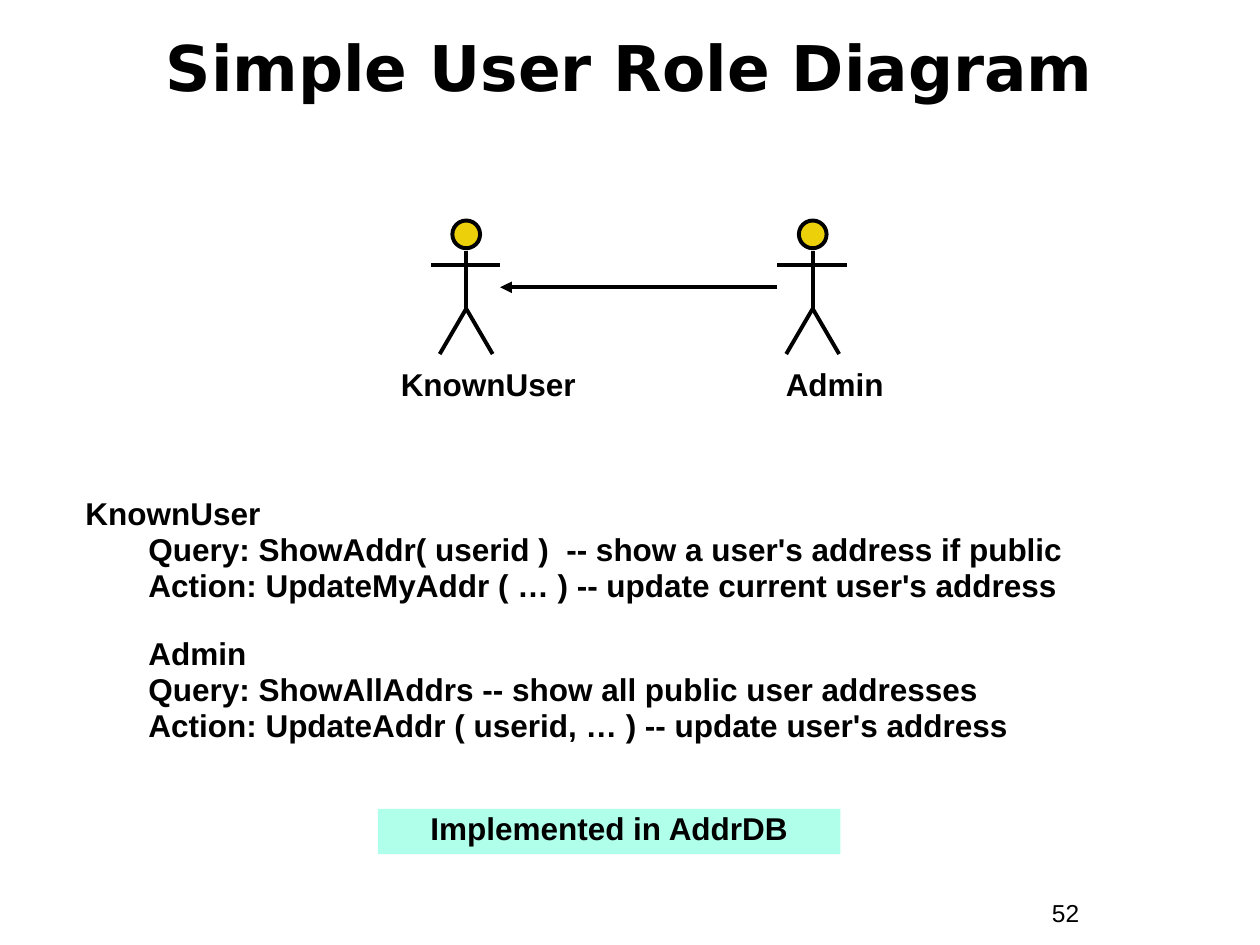
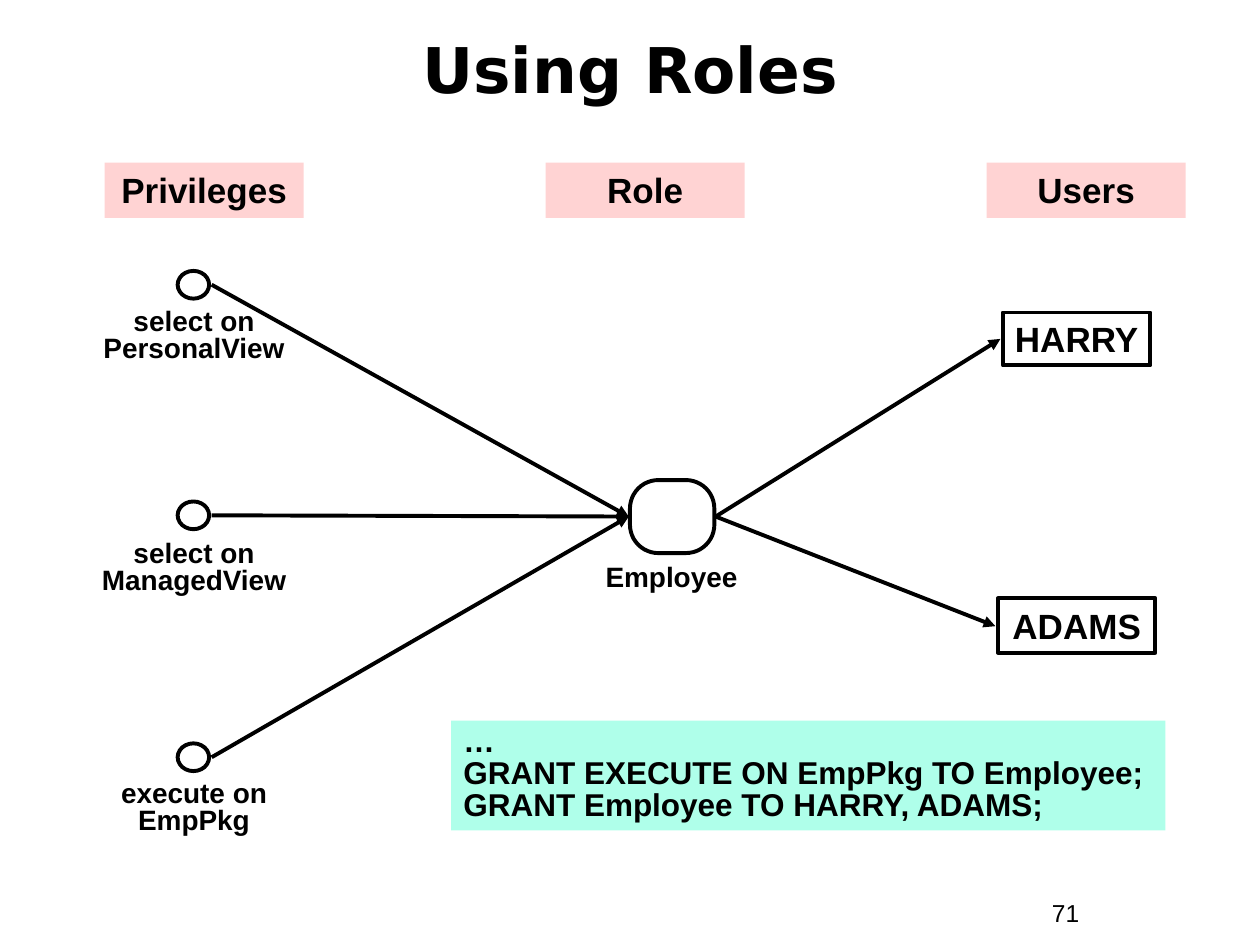
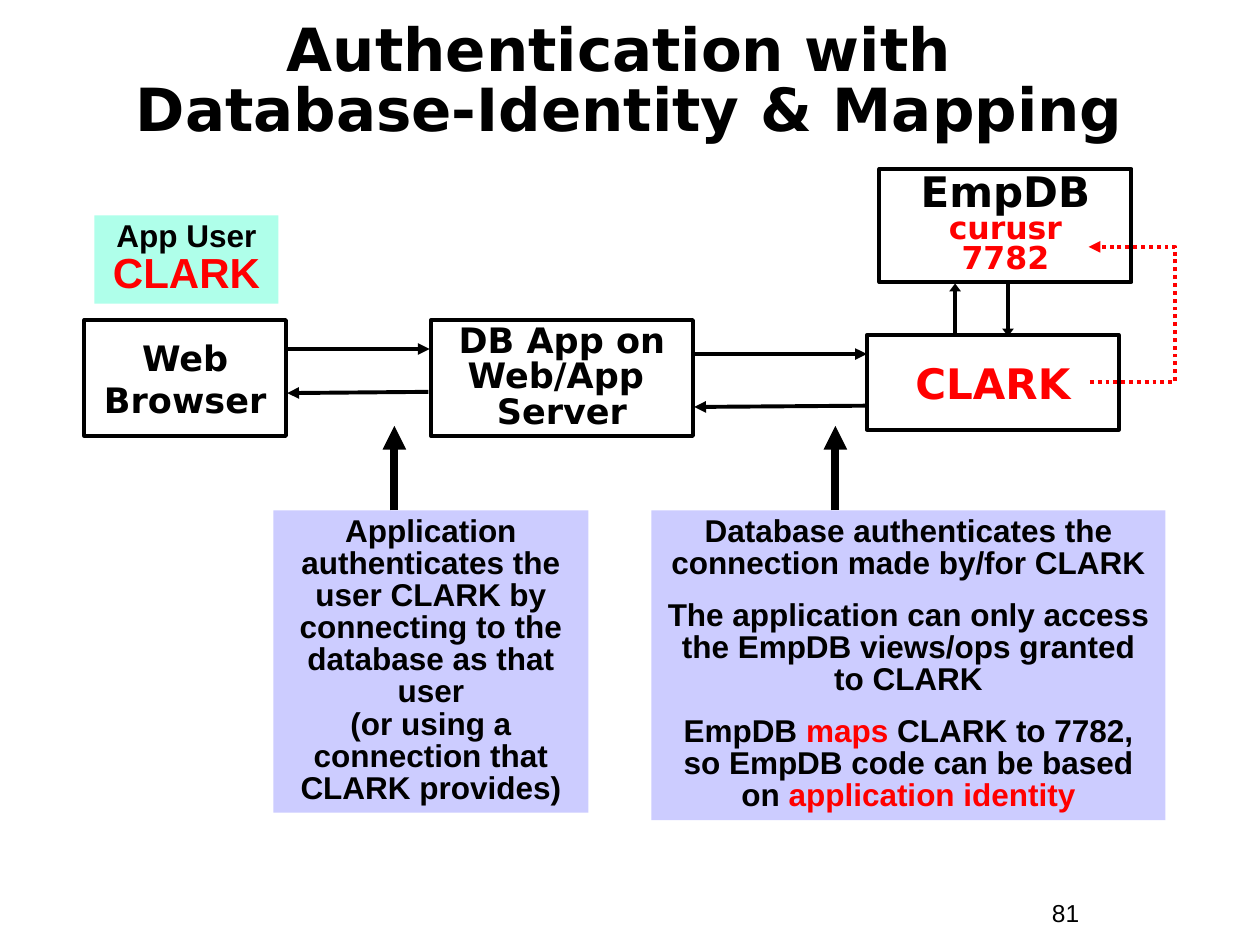
from copy import deepcopy

from lxml import etree
from pptx import Presentation
from pptx.dml.color import RGBColor
from pptx.enum.dml import MSO_LINE
from pptx.enum.shapes import MSO_CONNECTOR, MSO_SHAPE
from pptx.enum.text import MSO_ANCHOR, PP_ALIGN
from pptx.oxml.ns import qn
from pptx.util import Inches, Pt

STRAIGHT, ELBOW = MSO_CONNECTOR.STRAIGHT, MSO_CONNECTOR.ELBOW
RECT, ROUNDED, OVAL = MSO_SHAPE.RECTANGLE, MSO_SHAPE.ROUNDED_RECTANGLE, MSO_SHAPE.OVAL
LEFT, CENTER = PP_ALIGN.LEFT, PP_ALIGN.CENTER
TOP, MIDDLE = MSO_ANCHOR.TOP, MSO_ANCHOR.MIDDLE
DOTTED = MSO_LINE.ROUND_DOT

BLACK = RGBColor(0x00, 0x00, 0x00)
RED = RGBColor(0xFF, 0x00, 0x00)
GOLD = RGBColor(0xEC, 0xD1, 0x0A)
MINT = RGBColor(0xAF, 0xFF, 0xEA)
PINK = RGBColor(0xFF, 0xD3, 0xD3)
LILAC = RGBColor(0xCC, 0xCC, 0xFF)

BODY_FONT, HEAD_FONT = "Arial", "DejaVu Sans"
LINE_WIDTH = 2.25
BODY = {"name": BODY_FONT, "size": Pt(18), "bold": True}
LABEL = {**BODY, "size": Pt(16)}
HEADING = {**BODY, "size": Pt(20)}
NODE = {**BODY, "name": HEAD_FONT, "size": Pt(20)}
NUMBER = {"name": BODY_FONT, "size": Pt(14), "bold": False}


def add_span(paragraph, text, style, color=BLACK):
    """Add one formatted run per line, with line breaks of the same format between."""
    for index, line in enumerate(text.split("\n")):
        if index:
            paragraph.add_line_break()
            paragraph._p[-1].append(deepcopy(span._r.get_or_add_rPr()))
        span = paragraph.add_run()
        span.text = line
        for name, value in style.items():
            setattr(span.font, name, value)
        span.font.color.rgb = color


def write(box, paragraphs, style, align=CENTER, anchor=TOP, spacing=1.0, gap=0, wrap=True):
    """Fill a box; a paragraph is a string or a list of (text, format changes, colour)."""
    frame = box.text_frame
    frame.word_wrap = wrap
    frame.vertical_anchor = anchor
    for index, content in enumerate(paragraphs):
        paragraph = frame.add_paragraph() if index else frame.paragraphs[0]
        paragraph.alignment = align
        paragraph.line_spacing = spacing
        if index:
            paragraph.space_before = Pt(gap)
        spans = [(content, {}, BLACK)] if isinstance(content, str) else content
        for text, changes, color in spans:
            add_span(paragraph, text, {**style, **changes}, color)


def add_text(page, at, paragraphs, style, **layout):
    box = page.shapes.add_textbox(*map(Inches, at))
    write(box, paragraphs, style, **layout)
    return box


def add_box(shapes, at, kind=RECT, fill=None, outline=True):
    box = shapes.add_shape(kind, *map(Inches, at))
    box.shadow.inherit = False
    if fill is None:
        box.fill.background()
    else:
        box.fill.solid()
        box.fill.fore_color.rgb = fill
    if outline:
        box.line.color.rgb = BLACK
        box.line.width = Pt(LINE_WIDTH)
    else:
        box.line.fill.background()
    return box


def add_band(page, at, fill, paragraphs, style=BODY, **layout):
    band = add_box(page.shapes, at, fill=fill, outline=False)
    write(band, paragraphs, style, **layout)


def add_node(page, at, paragraphs, style=NODE, **layout):
    node = add_box(page.shapes, at)
    write(node, paragraphs, style, anchor=MIDDLE, **layout)


def add_line(shapes, start, end, color=BLACK, width=LINE_WIDTH, kind=STRAIGHT):
    line = shapes.add_connector(kind, *map(Inches, (*start, *end)))
    line.line.color.rgb = color
    line.line.width = Pt(width)
    etree.SubElement(line._element.spPr, qn("a:effectLst"))
    return line


def add_arrow(page, start, end, head_length="med", **look):
    arrow = add_line(page.shapes, start, end, **look)
    outline = arrow.line._get_or_add_ln()
    etree.SubElement(outline, qn("a:tailEnd"), type="triangle", w="med", len=head_length)
    return arrow


def add_loop_arrow(page, start, end, bend_x):
    """Dotted elbow arrow that runs out to bend_x and back."""
    arrow = add_arrow(page, start, end, color=RED, kind=ELBOW)
    arrow.line.dash_style = DOTTED
    share = round((bend_x - start[0]) / (end[0] - start[0]) * 100000)
    guides = arrow._element.spPr.find(qn("a:prstGeom")).get_or_add_avLst()
    etree.SubElement(guides, qn("a:gd"), name="adj1", fmla=f"val {share}")


def add_actor(page, center, name, label_left):
    shapes = page.shapes.add_group_shape().shapes
    add_box(shapes, (center - 0.11, 1.75, 0.22, 0.22), OVAL, GOLD)
    hip = (center, 2.45)
    for start, end in (
        ((center, 1.99), hip),
        ((center - 0.21, 2.81), hip),
        ((center + 0.21, 2.81), hip),
        ((center - 0.28, 2.1), (center + 0.27, 2.1)),
    ):
        add_line(shapes, start, end)
    add_text(page, (label_left, 2.89, 1.75, 0.36), [name], BODY, align=CENTER, spacing=0.85)


def add_page(deck, title, number, title_at, size=36, spacing=1.0):
    page = deck.slides.add_slide(deck.slide_layouts[6])
    style = {**NODE, "size": Pt(size)}
    add_text(page, title_at, [title], style, anchor=MIDDLE, spacing=spacing)
    add_text(page, (8.25, 7.08, 0.92, 0.34), [number], NUMBER, align=LEFT)
    return page


def build_role_diagram(deck):
    page = add_page(deck, "Simple User Role Diagram", "52", (0.33, 0.15, 9.33, 0.75))
    add_actor(page, 3.7, "KnownUser", 3)
    add_actor(page, 6.45, "Admin", 5.75)
    add_arrow(page, (6.17, 2.28), (3.97, 2.28))

    operations = add_text(page, (0.58, 3.92, 8.75, 2.33), [
        "KnownUser",
        "Query: ShowAddr( userid )  -- show a user's address if public",
        "Action: UpdateMyAddr ( … ) -- update current user's address",
        "Admin",
        "Query: ShowAllAddrs -- show all public user addresses",
        "Action: UpdateAddr ( userid, … ) -- update user's address",
    ], BODY, align=LEFT, spacing=0.85, gap=2.2)
    paragraphs = operations.text_frame.paragraphs
    for paragraph in paragraphs[1:]:
        paragraph._p.get_or_add_pPr().set("marL", str(Inches(0.5)))
    paragraphs[3].space_before = Pt(20.5)

    add_band(page, (3, 6.42, 3.67, 0.36), MINT, ["Implemented in AddrDB"], spacing=0.85)


def build_using_roles(deck):
    page = add_page(deck, "Using Roles", "71", (0.75, 0.33, 8.5, 0.42))
    for column, heading in enumerate(("Privileges", "Role", "Users")):
        add_band(page, (0.83 + 3.5 * column, 1.29, 1.58, 0.44), PINK, [heading], HEADING)

    role_in, role_out = (4.99, 4.1), (5.68, 4.1)
    for top, label_top, privilege in (
        (2.15, 2.41, "select on\nPersonalView"),
        (3.98, 4.25, "select on\nManagedView"),
        (5.9, 6.16, "execute on\nEmpPkg"),
    ):
        add_box(page.shapes, (1.41, top, 0.25, 0.22), OVAL)
        add_text(page, (0.54, label_top, 2, 0.53), [privilege], LABEL, spacing=0.8)
        add_arrow(page, (1.68, top + 0.11), role_in)

    role = add_box(page.shapes, (5, 3.81, 0.67, 0.58), ROUNDED)
    role.adjustments[0] = 0.39
    add_text(page, (4.58, 4.39, 1.5, 0.37), ["Employee"], LABEL)

    for user, at, tip in (
        ("HARRY", (7.96, 2.48, 1.17, 0.42), (7.94, 2.69)),
        ("ADAMS", (7.92, 4.75, 1.25, 0.43), (7.9, 4.97)),
    ):
        add_node(page, at, [user], HEADING, wrap=False)
        add_arrow(page, role_out, tip)

    grants = "…\nGRANT EXECUTE ON EmpPkg TO Employee;\nGRANT Employee TO HARRY, ADAMS;"
    add_band(page, (3.58, 5.72, 5.67, 0.87), MINT, [grants], align=LEFT, spacing=0.85)


def build_authentication(deck):
    page = add_page(deck, "Authentication with \nDatabase-Identity & Mapping", "81",
                    (0.33, 0.17, 9.33, 0.98), size=34, spacing=0.85)
    large = {"size": Pt(24)}
    add_node(page, (0.67, 2.54, 1.6, 0.92), ["Web\nBrowser"], wrap=False)
    add_node(page, (3.42, 2.54, 2.08, 0.92), ["DB App on\nWeb/App \nServer"],
             spacing=0.85, wrap=False)
    add_node(page, (6.88, 2.66, 2, 0.75), [[("CLARK", large, RED)]], wrap=False)
    add_node(page, (6.98, 1.34, 2, 0.9),
             [[("EmpDB\n", large, BLACK), ("curusr\n7782", {"size": Pt(18)}, RED)]], spacing=0.8)
    add_band(page, (0.75, 1.71, 1.46, 0.7), MINT,
             [[("App User\n", {}, BLACK), ("CLARK", large, RED)]], spacing=0.85)

    for start, end in (
        ((2.28, 2.77), (3.41, 2.77)),
        ((3.4, 3.11), (2.28, 3.12)),
        ((5.51, 2.81), (6.88, 2.81)),
        ((6.88, 3.22), (5.51, 3.23)),
    ):
        add_arrow(page, start, end)
    add_arrow(page, (7.58, 2.67), (7.58, 2.25), head_length="sm")
    add_arrow(page, (8, 2.25), (8, 2.67), head_length="sm")
    add_loop_arrow(page, (8.65, 3.03), (8.64, 1.96), 9.34)

    add_band(page, (2.17, 4.05, 2.5, 2.4), LILAC, [
        "Application authenticates the user CLARK by connecting to the database as that user\n"
        "(or using a connection that CLARK provides)",
    ], spacing=0.85)
    add_band(page, (5.17, 4.05, 4.08, 2.46), LILAC, [
        "Database authenticates the connection made by/for CLARK",
        "The application can only access the EmpDB views/ops granted to CLARK",
        [("EmpDB ", {}, BLACK), ("maps", {}, RED),
         (" CLARK to 7782, so EmpDB code can be based on", {}, BLACK),
         (" application identity", {}, RED)],
    ], spacing=0.85, gap=11.2)
    for x in (3.13, 6.63):
        add_arrow(page, (x, 4.05), (x, 3.38), width=4.5)


def main():
    deck = Presentation()
    deck.slide_width, deck.slide_height = Inches(10), Inches(7.5)
    build_role_diagram(deck)
    build_using_roles(deck)
    build_authentication(deck)
    deck.save("out.pptx")


if __name__ == "__main__":
    main()
